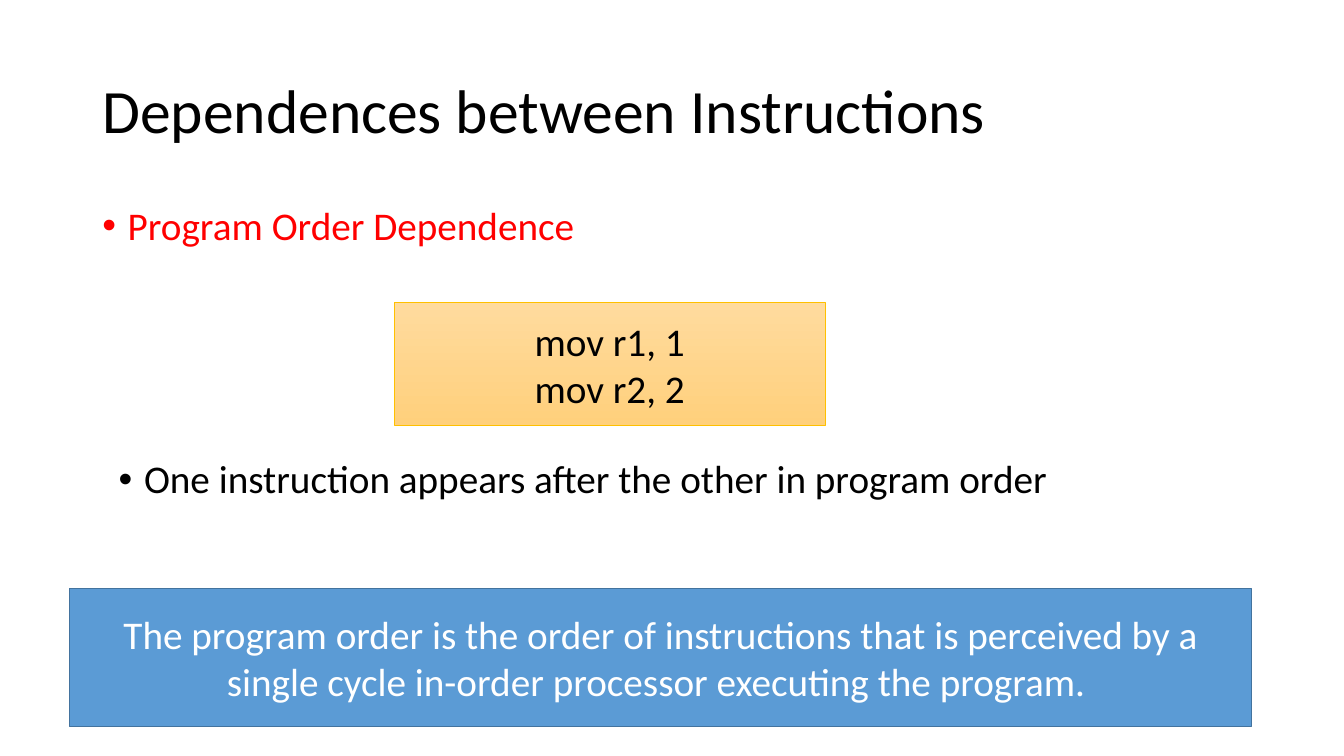
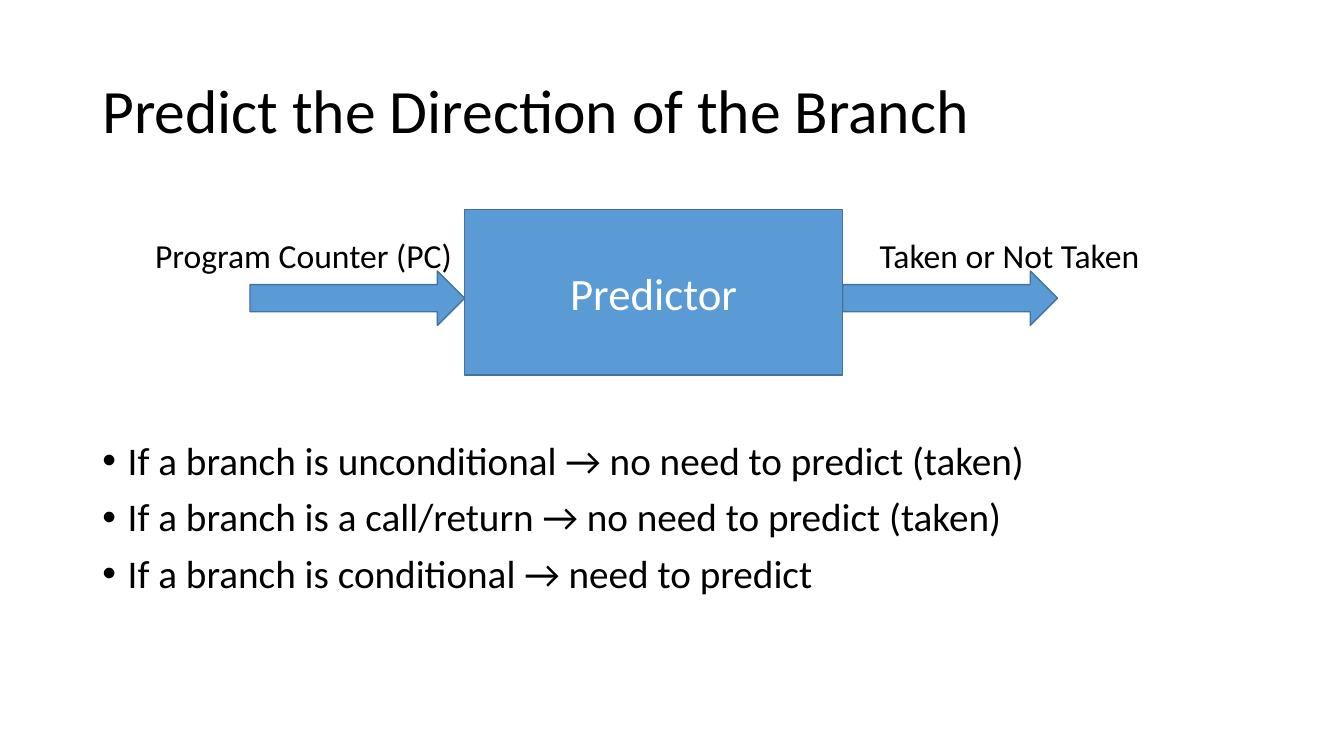
from pptx import Presentation
from pptx.dml.color import RGBColor
from pptx.enum.shapes import MSO_SHAPE as SHAPE
from pptx.enum.text import MSO_ANCHOR as ANCHOR, PP_ALIGN as ALIGN
from pptx.oxml.ns import qn
from pptx.util import Cm, Pt
from lxml import etree

FONT = "Calibri"
BLACK = RGBColor(0x00, 0x00, 0x00)
WHITE = RGBColor(0xFF, 0xFF, 0xFF)
RED = RGBColor(0xFF, 0x00, 0x00)
BLUE = RGBColor(0x5B, 0x9B, 0xD5)
DARK_BLUE = RGBColor(0x43, 0x73, 0x9E)
GOLD = RGBColor(0xFF, 0xC0, 0x00)
CODE_GRADIENT = (RGBColor(0xFF, 0xDB, 0x9E), RGBColor(0xFF, 0xD0, 0x7C))

LEFT, CONTENT_W = 2.33, 29.21
LINE_H = 1.78

ORDER_TITLE = "Dependences between Instructions"
ORDER_BULLETS = [
    ("Program Order Dependence", (LEFT, 5.08, CONTENT_W, LINE_H), RED),
    ("One instruction appears after the other in program order",
     (2.74, 11.46, CONTENT_W, LINE_H), BLACK),
]
CODE = ["mov r1, 1", "mov r2, 2"]
CODE_BOX = (9.93, 7.62, 10.87, 3.1)
DEFINITION = ("The program order is the order of instructions that is perceived "
              "by a single cycle in-order processor executing the program. ")
DEFINITION_BOX = (1.75, 14.83, 29.79, 3.48)

BRANCH_TITLE = "Predict the Direction of the Branch"
BRANCH_RULES = [
    "If a branch is unconditional → no need to predict (taken)",
    "If a branch is a call/return → no need to predict (taken)",
    "If a branch is conditional → need to predict",
]
RULES_BOX = (LEFT, 11, CONTENT_W, 6.15)
PREDICTOR_BOX = (11.71, 5.28, 9.53, 4.17)
ARROW_W, ARROW_H, ARROW_TOP = 5.41, 1.37, 6.83
LABEL_TOP, LABEL_H = 5.79, 1.27
SIGNALS = [("Program Counter (PC)", 3.66, 8.05), ("Taken or Not Taken", 21.92, 7.11)]


def write(shape, lines, size, color, align=ALIGN.LEFT, anchor=ANCHOR.TOP,
          spacing=None, bullet=False, wrap=True):
    tf = shape.text_frame
    tf.word_wrap = wrap
    tf.vertical_anchor = anchor
    for i, line in enumerate(lines):
        p = tf.add_paragraph() if i else tf.paragraphs[0]
        p.alignment = align
        if spacing:
            p.line_spacing = spacing
        if bullet:
            p.space_before = Pt(10)
            p_pr = p._p.get_or_add_pPr()
            p_pr.set("marL", str(Cm(0.64)))
            p_pr.set("indent", str(-Cm(0.64)))
            etree.SubElement(p_pr, qn("a:buFont")).set("typeface", "Arial")
            etree.SubElement(p_pr, qn("a:buChar")).set("char", "•")
        r = p.add_run()
        r.text = line
        r.font.name, r.font.size, r.font.color.rgb = FONT, Pt(size), color


def add_text(s, box, lines, size, color=BLACK, **style):
    write(s.shapes.add_textbox(*map(Cm, box)), lines, size, color, **style)


def add_bullets(s, box, lines, color=BLACK):
    add_text(s, box, lines, 28, color, spacing=0.9, bullet=True)


def add_box(s, kind, box, lines=(), size=28, color=WHITE, line=DARK_BLUE, width=1):
    sp = s.shapes.add_shape(kind, *map(Cm, box))
    sp.shadow.inherit = False
    sp.fill.solid()
    sp.fill.fore_color.rgb = BLUE
    sp.line.color.rgb = line
    sp.line.width = Pt(width)
    write(sp, lines, size, color, ALIGN.CENTER, ANCHOR.MIDDLE)
    return sp


def add_slide(prs, title):
    s = prs.slides.add_slide(prs.slide_layouts[6])
    add_text(s, (LEFT, 1.01, CONTENT_W, 3.68), [title], 44,
             anchor=ANCHOR.MIDDLE, spacing=0.9)
    return s


def build_order(prs):
    s = add_slide(prs, ORDER_TITLE)
    for text, box, color in ORDER_BULLETS:
        add_bullets(s, box, [text], color)
    code = add_box(s, SHAPE.RECTANGLE, CODE_BOX, CODE, color=BLACK, line=GOLD, width=0.5)
    code.fill.gradient()
    code.fill.gradient_angle = 270
    for stop, color in zip(code.fill.gradient_stops, CODE_GRADIENT):
        stop.color.rgb = color
    add_box(s, SHAPE.RECTANGLE, DEFINITION_BOX, [DEFINITION])


def build_branch(prs):
    s = add_slide(prs, BRANCH_TITLE)
    add_bullets(s, RULES_BOX, BRANCH_RULES)
    add_box(s, SHAPE.FLOWCHART_PROCESS, PREDICTOR_BOX, ["Predictor"], 32)
    left, _, width, _ = PREDICTOR_BOX
    arrow_lefts = (left - ARROW_W, left + width)
    for arrow_left, (label, label_left, label_w) in zip(arrow_lefts, SIGNALS):
        add_box(s, SHAPE.RIGHT_ARROW, (arrow_left, ARROW_TOP, ARROW_W, ARROW_H))
        add_text(s, (label_left, LABEL_TOP, label_w, LABEL_H), [label], 24, wrap=False)


def main():
    prs = Presentation()
    prs.slide_width, prs.slide_height = Cm(33.87), Cm(19.05)
    build_order(prs)
    build_branch(prs)
    prs.save("out.pptx")


if __name__ == "__main__":
    main()
